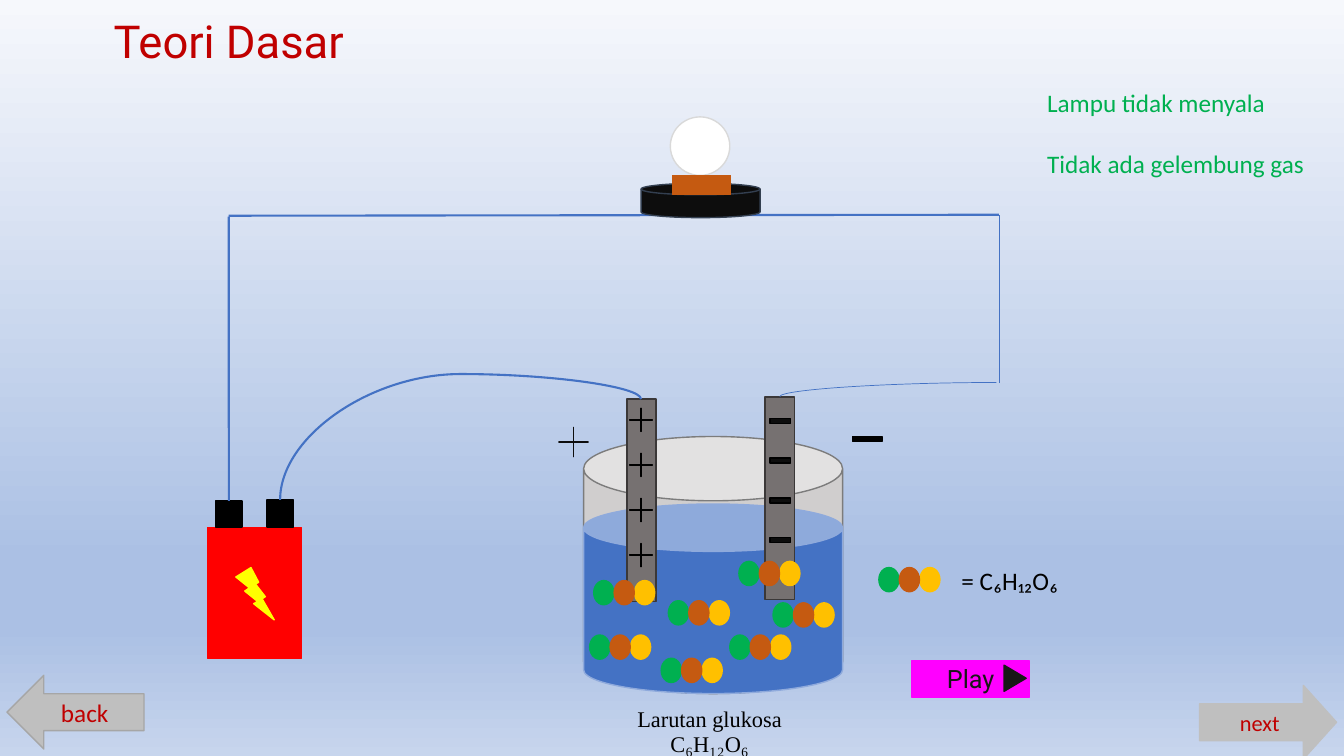
"""Builds the slide about the conductivity test of a glucose solution."""
from lxml import etree
from pptx import Presentation
from pptx.dml.color import RGBColor
from pptx.enum.shapes import MSO_CONNECTOR as CONN, MSO_SHAPE as SHAPE
from pptx.enum.text import MSO_ANCHOR as ANCHOR, PP_ALIGN as ALIGN
from pptx.oxml.ns import qn
from pptx.util import Pt

COLORS = {
    "red": "C00000", "green": "00B050", "orange": "C55A11", "yellow": "FFC000",
    "black": "000000", "ink": "0D0D0D", "dark": "181717", "wire": "4472C4",
    "glass": "D0CECE", "glass_edge": "7C7C7C", "water_edge": "8FAADC",
    "rod": "767171", "rod_edge": "3B3838", "base_edge": "333F50",
    "bulb": "FFFFFF", "bulb_edge": "D9D9D9", "battery": "FF0000",
    "bolt": "FFFF00", "arrow": "BFBFBF", "arrow_edge": "A6A6A6",
    "button": "FF00FF",
}
BACKGROUND = [(0, "F6F8FC"), (74, "ABC0E4"), (83, "ABC0E4"), (100, "C7D5ED")]
MOLECULES = [(477.4, 429.1), (527.8, 401), (521.3, 453.6), (472.3, 470.2),
             (424.1, 414.7), (421.2, 453.6), (627.8, 405.4), (552.2, 430.6)]
ATOMS = [("green", 0), ("yellow", 2), ("orange", 1)]


class Canvas:
    def __init__(self, s):
        self.s = s

    def color(self, name):
        return RGBColor.from_string(COLORS[name])

    def background(self, stops):
        fill = self.s.background.fill
        fill.gradient()
        fill.gradient_angle = 270
        gs_list = self.s.element.find(".//" + qn("a:gsLst"))
        for gs in list(gs_list):
            gs_list.remove(gs)
        for pos, rgb in stops:
            gs = etree.SubElement(gs_list, qn("a:gs"), pos=str(pos * 1000))
            etree.SubElement(gs, qn("a:srgbClr"), val=rgb)

    def shape(self, kind, x, y, w, h, fill, line=None, adj=(), parent=None):
        shapes = (parent or self.s).shapes
        sp = shapes.add_shape(kind, Pt(x), Pt(y), Pt(w), Pt(h))
        sp.shadow.inherit = False
        sp.fill.solid()
        sp.fill.fore_color.rgb = self.color(fill)
        sp.line.color.rgb = self.color(line or fill)
        sp.line.width = Pt(1)
        for i, value in enumerate(adj):
            sp.adjustments[i] = value
        return sp

    def label(self, sp, lines, size, color, font="Calibri", align=ALIGN.CENTER,
              anchor=ANCHOR.MIDDLE, spacing=None, gap=0):
        tf = sp.text_frame
        tf.word_wrap = True
        tf.vertical_anchor = anchor
        for i, line in enumerate(lines):
            p = tf.add_paragraph() if i else tf.paragraphs[0]
            p.text = line
            p.alignment = align
            p.font.size = Pt(size)
            p.font.name = font
            p.font.color.rgb = self.color(color)
            if spacing:
                p.line_spacing = spacing
            if i:
                p.space_before = Pt(gap)

    def text(self, x, y, w, h, lines, size, color, **style):
        sp = self.s.shapes.add_textbox(Pt(x), Pt(y), Pt(w), Pt(h))
        self.label(sp, lines, size, color, **style)

    def wire(self, x1, y1, x2, y2, width=1.5, kind=CONN.STRAIGHT):
        c = self.s.shapes.add_connector(kind, Pt(x1), Pt(y1), Pt(x2), Pt(y2))
        c.line.color.rgb = self.color("wire")
        c.line.width = Pt(width)
        etree.SubElement(c.element.spPr, qn("a:effectLst"))
        return c

    def curve(self, x, y, w, h, turn, preset, width=1.5, adj=None):
        c = self.wire(x + w, y + h, x, y, width, CONN.CURVE)
        c.element.spPr.find(qn("a:xfrm")).set("rot", str(turn * 60000))
        geom = c.element.spPr.find(qn("a:prstGeom"))
        geom.set("prst", preset)
        if adj is not None:
            etree.SubElement(geom.find(qn("a:avLst")), qn("a:gd"),
                             name="adj1", fmla=f"val {adj}")

    def plus(self, x, y, w, h, color):
        self.shape(SHAPE.CROSS, x, y, w, h, color, adj=[0.5])

    def molecule(self, x, y):
        group = self.s.shapes.add_group_shape()
        for color, i in ATOMS:
            self.shape(SHAPE.FLOWCHART_CONNECTOR, x + 14.6 * i, y, 14.4, 17.3,
                       color, parent=group)

    def play_button(self, x, y, w, h):
        group = self.s.shapes.add_group_shape()
        sp = self.shape(SHAPE.RECTANGLE, x, y, w, h, "button", parent=group)
        self.label(sp, ["Play"], 18, "dark", font="Roboto")
        sp = self.shape(SHAPE.ISOSCELES_TRIANGLE, x + 64.1, y + 5, 18.7, 15.8,
                        "dark", parent=group)
        sp.rotation = 90


def main():
    prs = Presentation()
    prs.slide_width, prs.slide_height = Pt(960), Pt(540)
    c = Canvas(prs.slides.add_slide(prs.slide_layouts[6]))
    c.background(BACKGROUND)

    c.wire(163.4, 154.1, 713.5, 153.4)
    c.text(40.3, 10, 246.2, 42, ["Teori Dasar"], 32.4, "red", font="Roboto", spacing=0.9)
    c.text(424.1, 502.6, 165.6, 43.2, ["Larutan glukosa C₆H₁₂O₆"], 16, "black",
           font="Times New Roman", anchor=ANCHOR.TOP, spacing=0.9)

    c.shape(SHAPE.CAN, 416.9, 311.8, 185, 183.6, "glass", "glass_edge")
    c.shape(SHAPE.CAN, 416.9, 360, 185, 135.4, "wire", "water_edge")
    for x, y in [(447.8, 285.1), (546.5, 283.7)]:
        c.shape(SHAPE.RECTANGLE, x, y, 20.9, 144.7, "rod", "rod_edge")
    c.plus(399.2, 305.3, 20.9, 20.9, "ink")
    c.shape(SHAPE.RECTANGLE, 609.1, 311.8, 20.9, 3.6, "black")

    c.shape(SHAPE.RECTANGLE, 148.3, 376.6, 67, 93.6, "battery")
    terminal = c.shape(SHAPE.RECTANGLE, 154.1, 357.8, 18.7, 18.7, "black")
    c.shape(SHAPE.RECTANGLE, 190.8, 357.1, 18.7, 19.4, "black")
    c.curve(293, 192.2, 72, 257.8, 270, "curvedConnector3", adj=-24900)
    c.shape(SHAPE.FLOWCHART_MAGNETIC_DISK, 457.9, 131, 85, 24.5, "ink", "base_edge")
    c.shape(SHAPE.OVAL, 478.8, 83.5, 42.5, 41.8, "bulb", "bulb_edge")
    c.shape(SHAPE.RECTANGLE, 480.2, 125.3, 41.8, 13.7, "orange")
    c.wire(163.4, 357.8, 163.4, 154.8).begin_connect(terminal, 0)
    c.curve(629.3, 200.9, 10.1, 154.8, 90, "curvedConnector2", width=0.5)
    c.wire(713.5, 273.6, 713.5, 153.4, width=0.5)
    c.shape(SHAPE.LIGHTNING_BOLT, 168.5, 405.4, 27.4, 37.4, "bolt")

    sp = c.shape(SHAPE.LEFT_ARROW, 5, 482.4, 97.9, 52.6, "arrow", "arrow_edge")
    c.label(sp, ["back"], 18, "red")
    for x, y in MOLECULES:
        c.molecule(x, y)
    c.text(679.7, 400.3, 119.5, 29, ["= C₆H₁₂O₆"], 18, "black",
           align=ALIGN.LEFT, anchor=ANCHOR.TOP)
    c.text(740.9, 59, 220.3, 72.7, ["Lampu tidak menyala", "Tidak ada gelembung gas"],
           18, "green", align=ALIGN.LEFT, anchor=ANCHOR.TOP, gap=22)

    for i in range(4):
        c.plus(450, 291.6 + 32.2 * i, 15.8, 16.6, "black")
        c.shape(SHAPE.RECTANGLE, 550.1, 298.8 + 28.4 * i, 14.4, 3.6, "ink", "black")

    c.play_button(651.6, 471.6, 83.5, 26.6)
    sp = c.shape(SHAPE.RIGHT_ARROW, 856.8, 489.6, 97.9, 52.6, "arrow", adj=[0.5, 0.45])
    c.label(sp, ["next"], 16, "red")
    prs.save("out.pptx")


if __name__ == "__main__":
    main()
